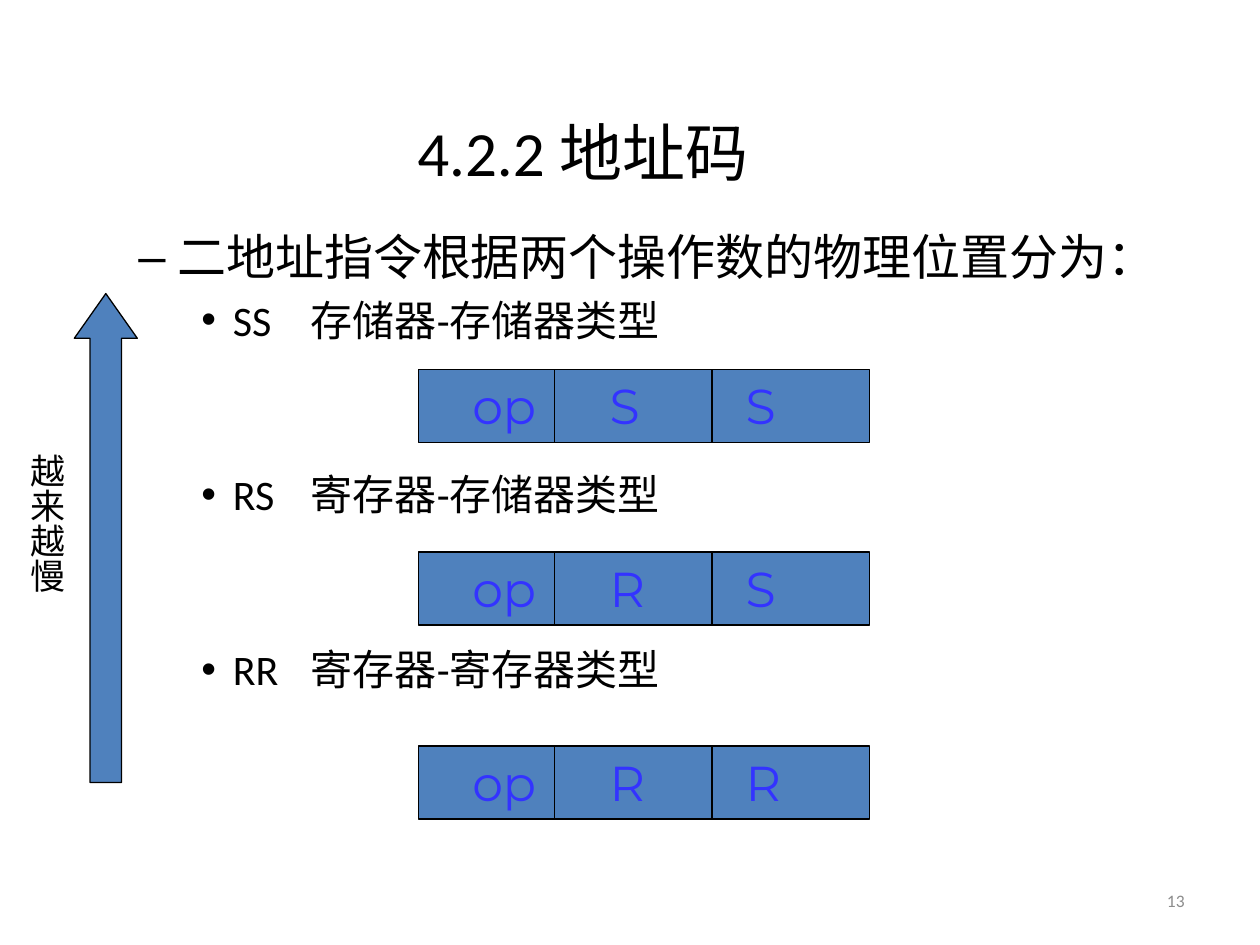
import pptx
import pptx.util
import pptx.dml.color
import pptx.enum.shapes
import pptx.enum.text
import pptx.oxml.ns
import lxml.etree
from dataclasses import dataclass

Kind = pptx.enum.shapes.MSO_SHAPE
Align = pptx.enum.text.PP_ALIGN
Anchor = pptx.enum.text.MSO_ANCHOR
SCALE = 9144


@dataclass(frozen=True)
class Theme:
    ink: str = "000000"
    fill: str = "4F81BD"
    code: str = "3333FF"
    mute: str = "8C8C8C"
    sans: str = "Calibri"
    mono: str = "Montserrat"
    serif: str = "Times New Roman"
    title: int = 36
    lead: int = 28
    item: int = 24
    side: int = 20
    foot: int = 10
    rule: float = 0.75


def emu(px):
    return pptx.util.Emu(px * SCALE)


def color(code):
    return pptx.dml.color.RGBColor.from_string(code)


def node(parent, tag, **attrs):
    return lxml.etree.SubElement(parent, pptx.oxml.ns.qn(tag), attrs)


class Pen:
    def __init__(self, shapes, theme):
        self.shapes = shapes
        self.theme = theme

    def group(self):
        return Pen(self.shapes.add_group_shape().shapes, self.theme)

    def style(self, para, size, face, tone):
        para.font.size = pptx.util.Pt(size)
        para.font.name = face
        para.font.color.rgb = color(tone)

    def frame(self, box, anchor=Anchor.TOP):
        frame = self.shapes.add_textbox(*map(emu, box)).text_frame
        frame.word_wrap = True
        frame.vertical_anchor = anchor
        return frame

    def text(self, words, box, size, face, tone,
             align=Align.LEFT, anchor=Anchor.TOP, turn=None):
        frame = self.frame(box, anchor)
        para = frame.paragraphs[0]
        para.text = words
        para.alignment = align
        self.style(para, size, face, tone)
        if turn:
            frame._txBody.bodyPr.set("vert", turn)

    def list(self, items, box):
        frame = self.frame(box)
        for index, (words, mark, size, left, hang, gap) in enumerate(items):
            para = frame.add_paragraph() if index else frame.paragraphs[0]
            para.text = words
            para.space_before = pptx.util.Pt(gap)
            props = para._p.get_or_add_pPr()
            props.set("marL", str(emu(left)))
            props.set("indent", str(emu(-hang)))
            node(props, "a:buFont", typeface="Arial")
            node(props, "a:buChar", char=mark)
            if "\t" in words:
                tabs = node(props, "a:tabLst")
                node(tabs, "a:tab", pos=str(emu(left + 62)), algn="l")
            self.style(para, size, self.theme.sans, self.theme.ink)

    def shape(self, kind, box, adjust=()):
        shape = self.shapes.add_shape(kind, *map(emu, box))
        shape.shadow.inherit = False
        shape.fill.solid()
        shape.fill.fore_color.rgb = color(self.theme.fill)
        shape.line.color.rgb = color(self.theme.ink)
        shape.line.width = pptx.util.Pt(self.theme.rule)
        for index, value in enumerate(adjust):
            shape.adjustments[index] = value

    def line(self, *ends):
        line = self.shapes.add_connector(
            pptx.enum.shapes.MSO_CONNECTOR.STRAIGHT, *map(emu, ends))
        line.line.color.rgb = color(self.theme.ink)
        line.line.width = pptx.util.Pt(self.theme.rule)
        node(line._element.spPr, "a:effectLst")

    def format(self, top, fields):
        part = self.group()
        part.shape(Kind.RECTANGLE, (332, top, 358, 58))
        for x in (440, 565):
            part.line(x, top, x, top + 58)
        for x, field in zip((365, 474, 582), fields):
            part.text(field, (x, top, 83, 57), self.theme.lead,
                      self.theme.mono, self.theme.code)


def main():
    deck = pptx.Presentation()
    deck.slide_width, deck.slide_height = emu(1000), emu(750)
    slide = deck.slides.add_slide(deck.slide_layouts[6])
    theme = Theme()
    pen = Pen(slide.shapes, theme)

    pen.text("4.2.2 地址码", (50, 24, 825, 131), theme.title, theme.sans,
             theme.ink, Align.CENTER, Anchor.BOTTOM)
    kinds = (("SS\t存储器-存储器类型", 5),
             ("RS\t寄存器-存储器类型", 71),
             ("RR\t寄存器-寄存器类型", 71))
    lead = ("二地址指令根据两个操作数的物理位置分为：", "–", theme.lead, 81, 31, 0)
    pen.list([lead] + [(words, "•", theme.item, 125, 25, gap)
                       for words, gap in kinds], (50, 175, 900, 495))
    pen.text("13", (717, 695, 233, 40), theme.foot, theme.sans, theme.mute,
             Align.RIGHT, Anchor.MIDDLE)
    pen.shape(Kind.UP_ARROW, (59, 233, 50, 388), (0.5, 0.71))
    pen.text("越来越慢", (5, 350, 54, 323), theme.side, theme.serif,
             theme.ink, turn="eaVert")
    for top, pair in ((293, "SS"), (438, "RS"), (592, "RR")):
        pen.format(top, ("op", *pair))
    deck.save("out.pptx")


if __name__ == "__main__":
    main()
